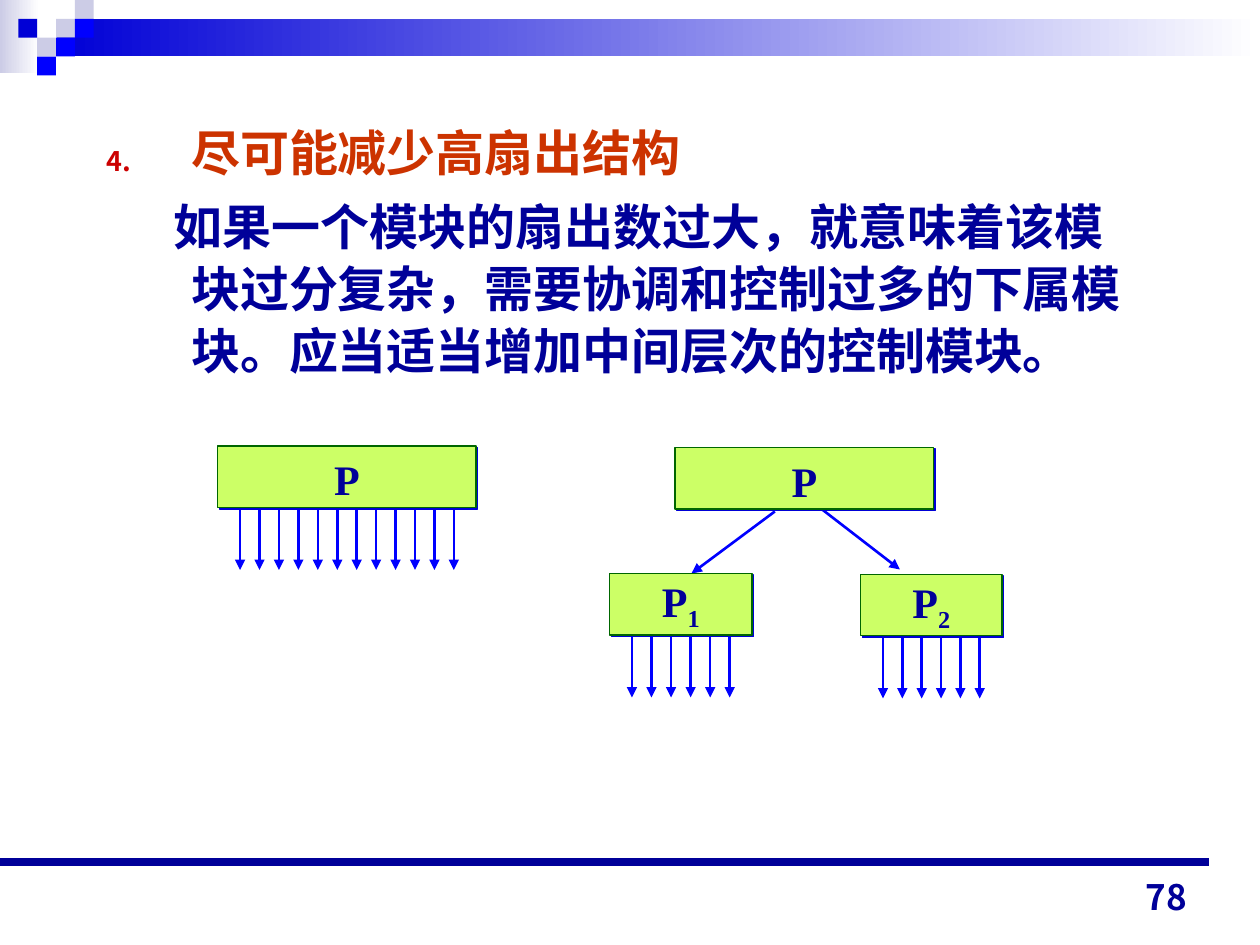
"""Build a slide on reducing high fan-out structures in module design."""
from lxml import etree
from pptx import Presentation
from pptx import util as u
from pptx.dml.color import RGBColor
from pptx.enum import shapes, text
from pptx.oxml.ns import qn

THEME = {
    "white": "FFFFFF", "pale": "CCCCE6", "deep": "0000D6", "blue": "0000FF",
    "navy": "000099", "heading": "CC3300", "number": "CC0000",
    "box": "CCFF66", "edge": "006600",
    "latin": "Times New Roman", "cjk": "Noto Sans CJK JP",
    "body_size": 28, "label_size": 24, "page_size": 20,
}
HEADING = "尽可能减少高扇出结构"
EXPLANATION = ("如果一个模块的扇出数过大，就意味着该模块过分复杂，"
               "需要协调和控制过多的下属模块。应当适当增加中间层次的控制模块。")
PAGE_NUMBER = "78"
BODY_AREA = (1.9, 2.29, 21.44, 7.77)
PAGE_AREA = (18.26, 17.35, 5.92, 1.27)
BANDS = [((0, 0, 0.79, 1.47), "pale"), ((1.14, 0.38, 24.26, 0.76), "deep")]
TILE = 0.38
TILE_LEFT = 0.37
TILES = [(2, 1, "pale"), (3, 0, "pale"), (3, 1, "blue"), (1, 2, "pale"),
         (0, 1, "deep"), (2, 2, "blue"), (1, 3, "blue")]
FOOTER_RULE = (0, 17.37, 24.38, 17.37)
MODULES = [
    {"name": "P", "index": "", "area": (4.39, 8.99, 5.21, 1.24), "fan": 12},
    {"name": "P", "index": "", "area": (13.61, 9.02, 5.21, 1.24), "fan": 0},
    {"name": "P", "index": "1", "area": (12.29, 11.56, 2.87, 1.24), "fan": 6},
    {"name": "P", "index": "2", "area": (17.35, 11.58, 2.85, 1.24), "fan": 6},
]
CALLS = [(16.56, 10.26, 18.14, 11.48), (15.62, 10.31, 13.94, 11.56)]
FAN_INSET, FAN_GAP, FAN_LENGTH = 0.45, 0.05, 1.21


def color(name):
    return RGBColor.from_string(THEME[name])


def lengths(values):
    return [u.Cm(value) for value in values]


def add_xml(parent, tag, **attributes):
    return etree.SubElement(parent, qn(tag), attributes)


def write(para, content, size="body_size", ink="navy", face="latin", baseline=None):
    span = para.add_run()
    span.text = content
    span.font.size = u.Pt(THEME[size])
    span.font.bold = True
    span.font.color.rgb = color(ink)
    span.font.name = THEME[face]
    properties = span._r.get_or_add_rPr()
    add_xml(properties, "a:ea", typeface=THEME["cjk"])
    if baseline:
        properties.set("baseline", str(baseline))


def add_box(page, area, fill, gradient=False):
    box = page.shapes.add_shape(shapes.MSO_SHAPE.RECTANGLE, *lengths(area))
    box.shadow.inherit = False
    box.line.fill.background()
    if gradient:
        box.fill.gradient()
        box.fill.gradient_angle = 0
        for stop, name in zip(box.fill.gradient_stops, (fill, "white")):
            stop.color.rgb = color(name)
    else:
        box.fill.solid()
        box.fill.fore_color.rgb = color(fill)
    return box


def add_line(page, ends, ink, width, arrow=True):
    line = page.shapes.add_connector(shapes.MSO_CONNECTOR.STRAIGHT, *lengths(ends))
    line.line.color.rgb = color(ink)
    line.line.width = u.Pt(width)
    if arrow:
        add_xml(line.line._get_or_add_ln(), "a:tailEnd", type="triangle")
    add_xml(line._element.spPr, "a:effectLst")


def add_text_box(page, area, wrap, anchor, align):
    box = page.shapes.add_textbox(*lengths(area))
    box.text_frame.word_wrap = wrap
    box.text_frame.vertical_anchor = anchor
    para = box.text_frame.paragraphs[0]
    para.alignment = align
    return para


def add_decoration(page):
    for area, fill in BANDS:
        add_box(page, area, fill, gradient=True)
    for column, row, fill in TILES:
        add_box(page, (TILE_LEFT + column * TILE, row * TILE, TILE, TILE), fill)
    add_line(page, FOOTER_RULE, "navy", 4.5, arrow=False)


def add_body(page):
    page.shapes.title._element.getparent().remove(page.shapes.title._element)
    body = page.placeholders[1]
    body.left, body.top, body.width, body.height = lengths(BODY_AREA)
    frame = body.text_frame
    frame.auto_size = text.MSO_AUTO_SIZE.NONE
    rows = [(HEADING, "heading", -1.7), (EXPLANATION, "navy", -0.36)]
    for number, (content, ink, indent) in enumerate(rows):
        para = frame.add_paragraph() if number else frame.paragraphs[0]
        para.line_spacing = 1.05
        para.space_before = u.Pt(7)
        properties = para._p.get_or_add_pPr()
        properties.set("marL", str(u.Cm(1.7)))
        properties.set("indent", str(u.Cm(indent)))
        if number:
            add_xml(properties, "a:buNone")
        else:
            add_xml(add_xml(properties, "a:buClr"), "a:srgbClr", val=THEME["number"])
            add_xml(properties, "a:buSzPct", val="55000")
            add_xml(properties, "a:buFont", typeface=THEME["cjk"])
            add_xml(properties, "a:buAutoNum", type="arabicPeriod", startAt="4")
        write(para, content, ink=ink)


def add_module(page, name, index, area, fan):
    left, top, width, height = area
    start = top + height + FAN_GAP
    for number in range(fan):
        x = left + FAN_INSET + number * (width - 2 * FAN_INSET) / (fan - 1)
        add_line(page, (x, start, x, start + FAN_LENGTH), "blue", 1.5)
    box = add_box(page, area, "box")
    box.line.color.rgb = color("edge")
    box.line.width = u.Pt(0.75)
    effects = box._element.spPr.find(qn("a:effectLst"))
    shadow = add_xml(effects, "a:outerShdw", dist=str(u.Pt(1.4)), dir="2700000")
    add_xml(shadow, "a:srgbClr", val=THEME["deep"])
    label_width, label_height = (1.27, 1.42) if index else (1.02, 1.27)
    label_top = top - 0.09 if index else top + 0.03
    label = (left + (width - label_width) / 2, label_top, label_width, label_height)
    para = add_text_box(page, label, False, text.MSO_ANCHOR.TOP, text.PP_ALIGN.CENTER)
    write(para, name, size="label_size")
    if index:
        write(para, index, size="label_size", baseline=-25000)


def main():
    deck = Presentation()
    deck.slide_width, deck.slide_height = lengths((25.4, 19.05))
    page = deck.slides.add_slide(deck.slide_layouts[1])
    add_decoration(page)
    add_body(page)
    for ends in CALLS:
        add_line(page, ends, "blue", 1.5)
    for module in MODULES:
        add_module(page, **module)
    para = add_text_box(page, PAGE_AREA, True, text.MSO_ANCHOR.BOTTOM, text.PP_ALIGN.RIGHT)
    write(para, PAGE_NUMBER, size="page_size", face="cjk")
    deck.save("out.pptx")


if __name__ == "__main__":
    main()
